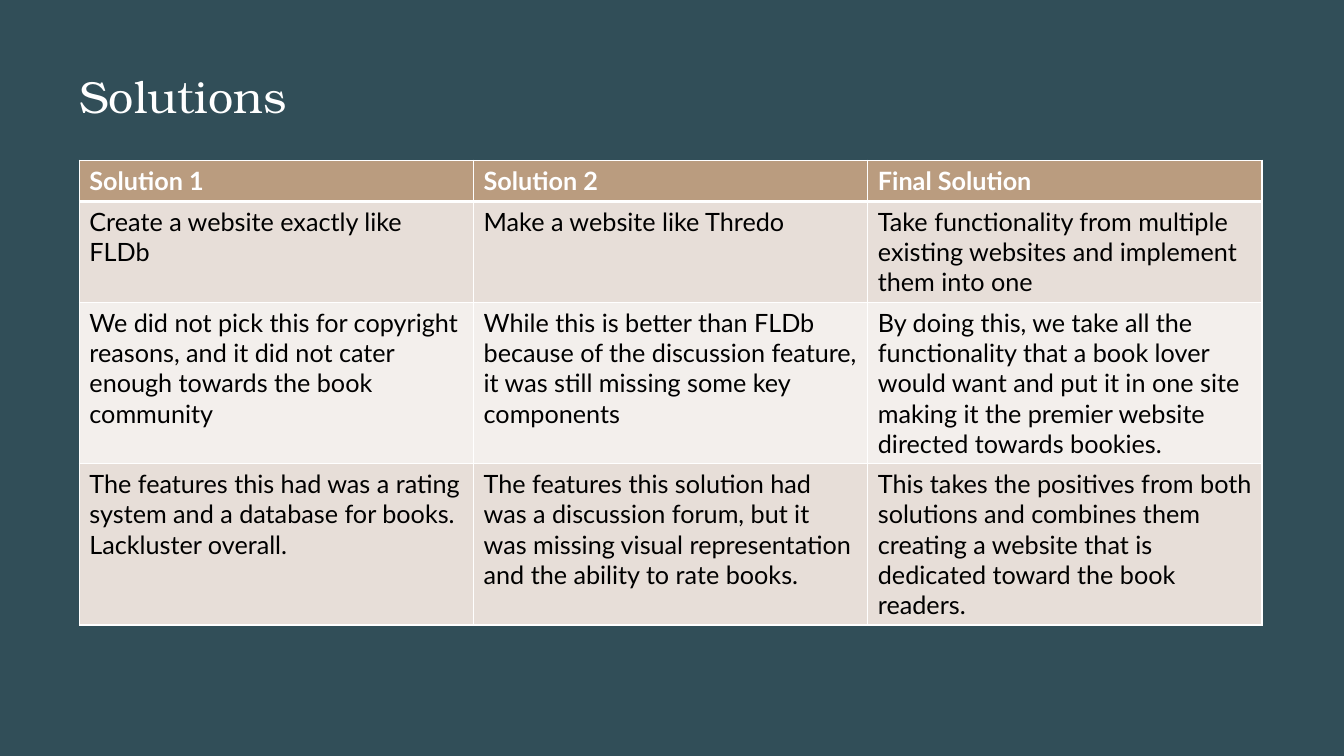
from lxml import etree
from pptx import Presentation
from pptx.dml.color import RGBColor
from pptx.enum import shapes, text
from pptx.oxml import ns
from pptx.util import Pt

TITLE = "Solutions"
ROWS = [
    ("Solution 1", "Solution 2", "Final Solution"),
    (
        "Create a website exactly like FLDb",
        "Make a website like Thredo",
        "Take functionality from multiple existing websites and implement them into one",
    ),
    (
        "We did not pick this for copyright reasons, and it did not cater enough towards the book community",
        "While this is better than FLDb because of the discussion feature, it was still missing some key components",
        "By doing this, we take all the functionality that a book lover would want and put it in one site making it the premier website directed towards bookies.",
    ),
    (
        "The features this had was a rating system and a database for books. Lackluster overall.",
        "The features this solution had was a discussion forum, but it was missing visual representation and the ability to rate books.",
        "This takes the positives from both solutions and combines them creating a website that is dedicated toward the book readers.",
    ),
]
HEIGHTS = (29.5, 72, 115, 115)
COLORS = {
    "back": "22363D",
    "panel": "314E58",
    "head": "BA9C7F",
    "odd": "E7DED8",
    "even": "F3EFEC",
    "light": "FFFFFF",
    "dark": "000000",
}
FONTS = {
    "title": {"name": "TeX Gyre Bonum", "size": Pt(32), "bold": False},
    "head": {"name": "Lato", "size": Pt(18), "bold": True},
    "body": {"name": "Lato", "size": Pt(18), "bold": False},
}
WIDE, HIGH = 960, 540
LEFT, SPAN = 56.7, 844.8


def paint(fill, color):
    fill.solid()
    fill.fore_color.rgb = RGBColor.from_string(COLORS[color])


def write(frame, words, style, color):
    part = frame.paragraphs[0]
    run = part.add_run()
    run.text = words
    for key, value in FONTS[style].items():
        setattr(run.font, key, value)
    run.font.color.rgb = RGBColor.from_string(COLORS[color])


def edge(cell, side, width):
    props = cell._tc.get_or_add_tcPr()
    line = etree.SubElement(props, ns.qn(f"a:ln{side}"), w=str(Pt(width)))
    fill = etree.SubElement(line, ns.qn("a:solidFill"))
    etree.SubElement(fill, ns.qn("a:srgbClr"), val=COLORS["light"])


def main():
    deck = Presentation()
    deck.slide_width, deck.slide_height = Pt(WIDE), Pt(HIGH)
    slide = deck.slides.add_slide(deck.slide_layouts[6])
    paint(slide.background.fill, "back")

    panel = slide.shapes.add_shape(
        shapes.MSO_SHAPE.RECTANGLE, 0, 0, Pt(WIDE), Pt(HIGH)
    )
    panel.shadow.inherit = False
    paint(panel.fill, "panel")
    panel.line.fill.background()

    title = slide.shapes.add_textbox(Pt(LEFT), Pt(49), Pt(SPAN), Pt(60))
    frame = title.text_frame
    layout = {"word_wrap": True, "vertical_anchor": text.MSO_ANCHOR.TOP}
    layout |= {f"margin_{side}": 0 for side in ("left", "top", "right", "bottom")}
    for key, value in layout.items():
        setattr(frame, key, value)
    write(frame, TITLE, "title", "light")

    table = slide.shapes.add_table(
        len(ROWS), len(ROWS[0]), Pt(LEFT), Pt(114.5), Pt(SPAN), Pt(sum(HEIGHTS))
    ).table
    for col in table.columns:
        col.width = Pt(SPAN / len(ROWS[0]))
    for r, (row, height) in enumerate(zip(ROWS, HEIGHTS)):
        table.rows[r].height = Pt(height)
        style, color = ("body", "dark") if r else ("head", "light")
        shade = ("even", "odd")[r % 2] if r else "head"
        widths = {"L": 1, "R": 1, "T": 3 if r == 1 else 1, "B": 1 if r else 3}
        for c, words in enumerate(row):
            cell = table.cell(r, c)
            for side, width in widths.items():
                edge(cell, side, width)
            paint(cell.fill, shade)
            write(cell.text_frame, words, style, color)

    deck.save("out.pptx")


if __name__ == "__main__":
    main()
